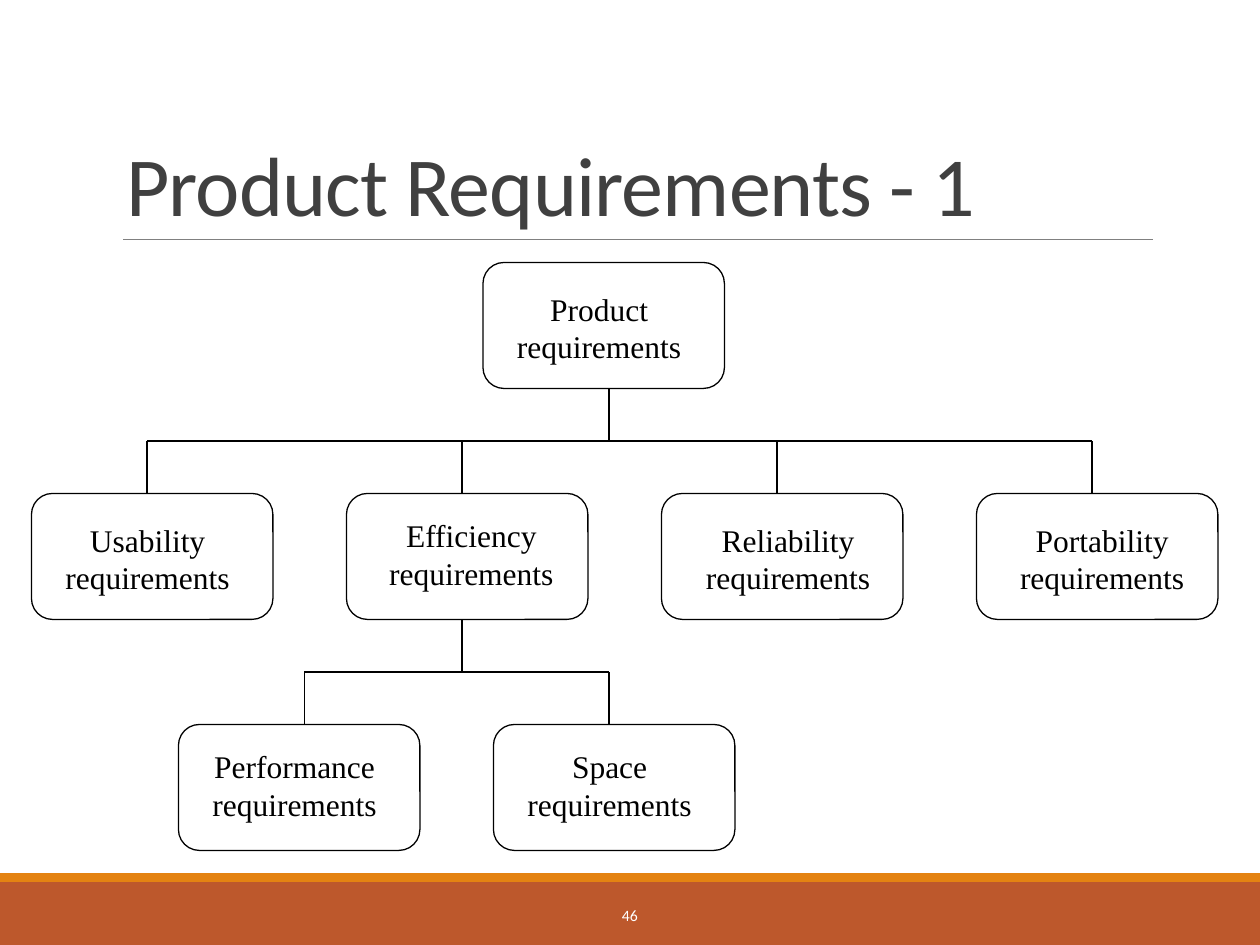
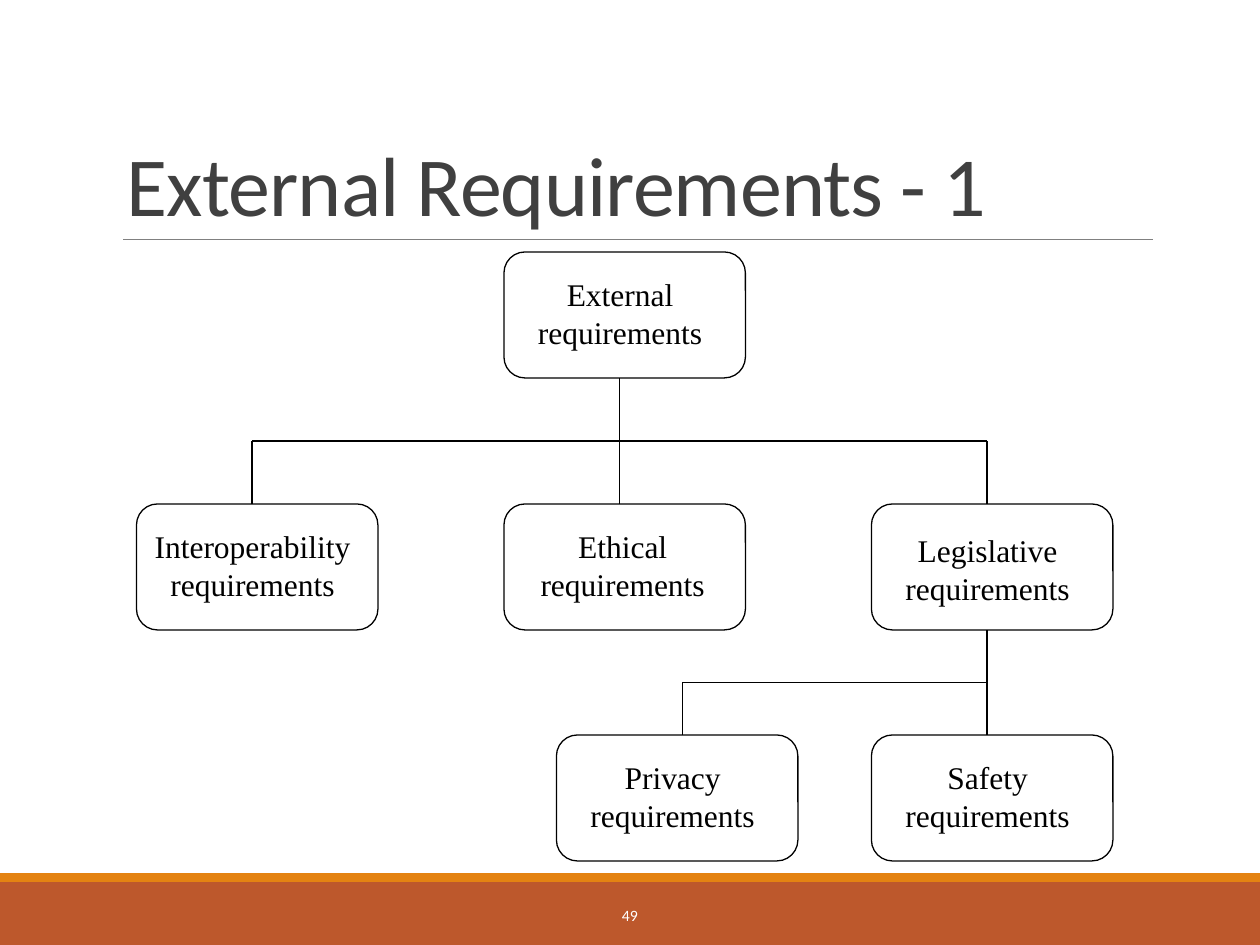
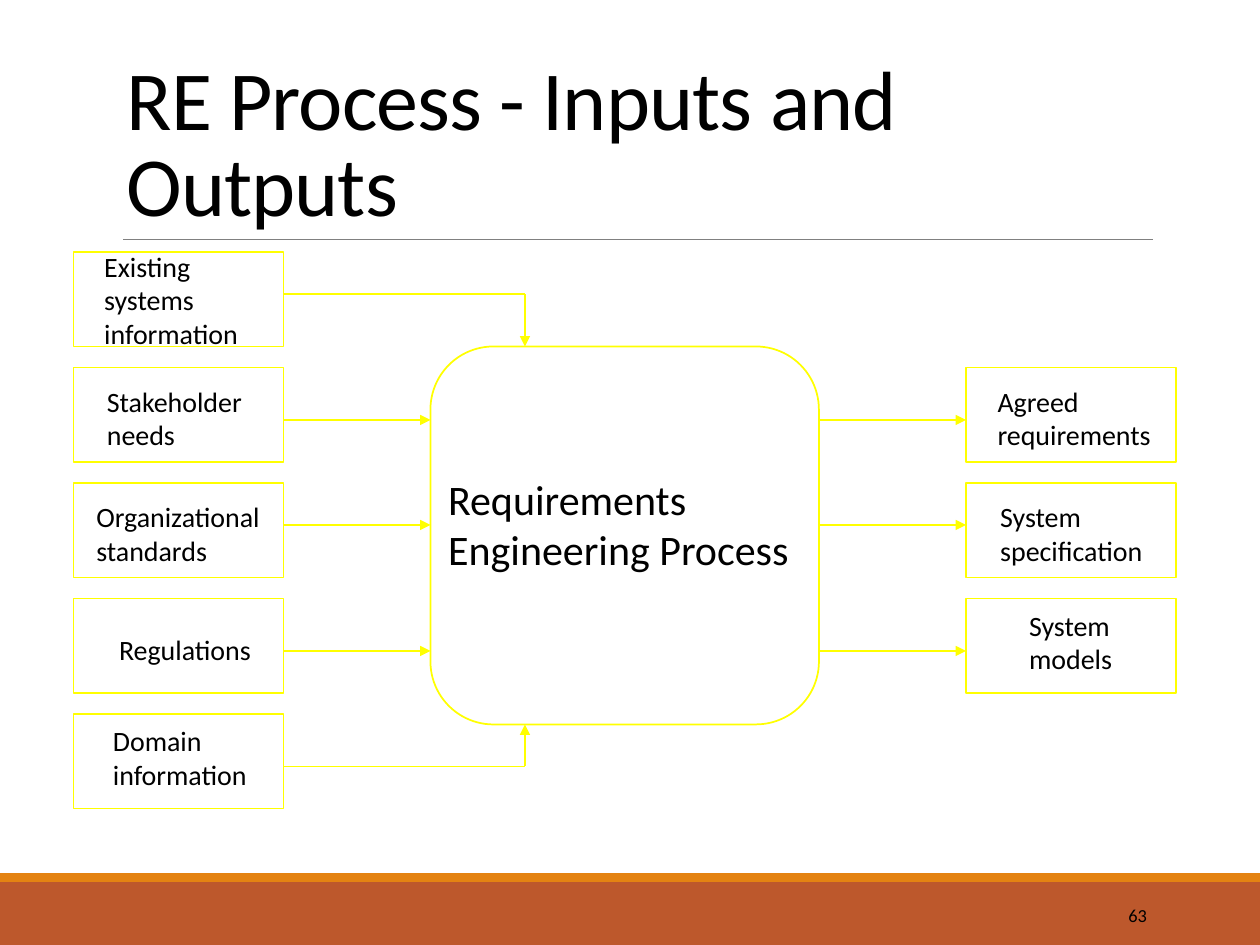
from dataclasses import dataclass

from lxml import etree
from pptx import Presentation
from pptx.dml.color import RGBColor
from pptx.enum.shapes import MSO_CONNECTOR, MSO_SHAPE
from pptx.enum.text import MSO_ANCHOR, MSO_AUTO_SIZE, PP_ALIGN
from pptx.oxml.ns import qn
from pptx.util import Pt


@dataclass(frozen=True)
class Theme:
    ink: str = "000000"
    title: str = "404040"
    white: str = "FFFFFF"
    rule: str = "808080"
    band: str = "BD582C"
    stripe: str = "E48312"
    flow: str = "FFFF00"
    sans: str = "Calibri"
    serif: str = "Times New Roman"
    title_size: float = 48
    process_size: float = 24
    node_size: float = 18
    item_size: float = 16
    number_size: float = 9
    large_number_size: float = 10.5
    rule_width: float = 0.5
    tree_width: float = 0.75
    flow_width: float = 1


@dataclass(frozen=True)
class Box:
    left: float
    top: float
    width: float
    height: float

    def inner(self, dx, dy, width, height):
        return Box(self.left + dx, self.top + dy, width, height)

    def lengths(self):
        return [Pt(v) for v in (self.left, self.top, self.width, self.height)]


@dataclass(frozen=True)
class Node:
    """A tree box; label and stem are offsets from its top left corner."""
    word: str
    label_dx: float = 12
    label_dy: float = 9.5
    stem_dx: float = 66
    label_width: float = 108.7


@dataclass(frozen=True)
class Row:
    left: float
    top: float
    pitch: float
    nodes: tuple


@dataclass(frozen=True)
class Item:
    """An input or output; its label is offset from its box."""
    lines: tuple
    dx: float
    dy: float
    width: float
    align: PP_ALIGN = PP_ALIGN.LEFT


THEME = Theme()
PAGE = Box(0, 0, 720, 540)
TITLE = Box(65, 22.5, 594, 114.5)
CENTRE_NUMBER = Box(217.5, 508.5, 285, 28.75)
RIGHT_NUMBER = Box(584.5, 508.5, 78, 28.75)
NODE_WIDTH, NODE_HEIGHT = 138, 72
ITEM_WIDTH, ITEM_HEIGHT, ITEM_PITCH = 120, 54, 66


# Drawing helpers
def colour(code):
    return RGBColor.from_string(code)


def add_box(slide, box, kind=MSO_SHAPE.RECTANGLE, fill=None, line=None, width=1):
    shape = slide.shapes.add_shape(kind, *box.lengths())
    shape.shadow.inherit = False
    if fill:
        shape.fill.solid()
        shape.fill.fore_color.rgb = colour(fill)
    else:
        shape.fill.background()
    if line:
        shape.line.color.rgb = colour(line)
        shape.line.width = Pt(width)
    else:
        shape.line.fill.background()
    return shape


def add_line(slide, start, end, line, width, arrow=False):
    connector = slide.shapes.add_connector(
        MSO_CONNECTOR.STRAIGHT, *[Pt(v) for v in (*start, *end)])
    connector.line.color.rgb = colour(line)
    connector.line.width = Pt(width)
    properties = connector.element.spPr
    if arrow:
        outline = properties.find(qn("a:ln"))
        etree.SubElement(outline, qn("a:tailEnd"), type="triangle")
    etree.SubElement(properties, qn("a:effectLst"))
    return connector


def add_run(paragraph, text, font, size, ink):
    run = paragraph.add_run()
    run.text = text
    run.font.name = font
    run.font.size = Pt(size)
    run.font.color.rgb = colour(ink)


def add_label(slide, box, lines, font, size, align=PP_ALIGN.LEFT):
    frame = slide.shapes.add_textbox(*box.lengths()).text_frame
    frame.word_wrap = False
    frame.auto_size = MSO_AUTO_SIZE.SHAPE_TO_FIT_TEXT
    for index, text in enumerate(lines):
        paragraph = frame.add_paragraph() if index else frame.paragraphs[0]
        paragraph.alignment = align
        add_run(paragraph, text, font, size, THEME.ink)


# Shared parts
def furnish_layout(layout, slide):
    """Move the bands and the title rule behind everything on the layout."""
    parts = [
        add_box(slide, PAGE.inner(0, 504, PAGE.width, 36), fill=THEME.band),
        add_box(slide, PAGE.inner(0, 499, PAGE.width, 5), fill=THEME.stripe),
        add_line(slide, (70.5, 137), (659, 137), THEME.rule, THEME.rule_width),
    ]
    for index, part in enumerate(parts):
        next(part.element.iter(qn("p:cNvPr"))).set("id", str(100 + index))
        layout.shapes.element.insert(2 + index, part.element)


def add_title(slide, text, ink=THEME.title):
    title = slide.shapes.title
    title.left, title.top, title.width, title.height = TITLE.lengths()
    frame = title.text_frame
    frame.word_wrap = True
    frame.auto_size = MSO_AUTO_SIZE.NONE
    frame.vertical_anchor = MSO_ANCHOR.BOTTOM
    paragraph = frame.paragraphs[0]
    paragraph.alignment = PP_ALIGN.LEFT
    paragraph.line_spacing = 0.85
    add_run(paragraph, text, THEME.sans, THEME.title_size, ink)
    next(title.element.iter(qn("a:rPr"))).set("spc", "-50")


def add_number(slide, box, number, size, ink, align):
    frame = slide.shapes.add_textbox(*box.lengths()).text_frame
    frame.word_wrap = True
    frame.vertical_anchor = MSO_ANCHOR.MIDDLE
    frame.paragraphs[0].alignment = align
    add_run(frame.paragraphs[0], number, THEME.sans, size, ink)


# Requirement trees
def add_node(slide, box, node):
    add_box(slide, box, MSO_SHAPE.ROUNDED_RECTANGLE,
            line=THEME.ink, width=THEME.tree_width)
    label = box.inner(node.label_dx, node.label_dy, node.label_width, 50.4)
    add_label(slide, label, (node.word, "requirements"),
              THEME.serif, THEME.node_size, PP_ALIGN.CENTER)
    return box, box.left + node.stem_dx


def add_row(slide, box, row):
    return [add_node(slide, box.inner(row.left + i * row.pitch, row.top,
                                      NODE_WIDTH, NODE_HEIGHT), node)
            for i, node in enumerate(row.nodes)]


def add_branch(slide, parent, children):
    parent_box, trunk = parent
    parent_bottom = parent_box.top + parent_box.height
    child_top = children[0][0].top
    bus = (parent_bottom + child_top) / 2
    stems = [stem for _, stem in children]
    segments = [((trunk, parent_bottom), (trunk, bus)),
                ((stems[0], bus), (stems[-1], bus))]
    segments += [((stem, bus), (stem, child_top)) for stem in stems]
    for start, end in segments:
        add_line(slide, start, end, THEME.ink, THEME.tree_width)


def add_tree(slide, box, rows, split):
    """Draw three rows; the node at index split carries the lowest row."""
    roots, kinds, details = [add_row(slide, box, row) for row in rows]
    add_branch(slide, roots[0], kinds)
    add_branch(slide, kinds[split], details)


def tree_slide(slide, title, number, box, rows, split):
    add_title(slide, title)
    add_number(slide, CENTRE_NUMBER, number, THEME.number_size,
               THEME.white, PP_ALIGN.CENTER)
    add_tree(slide, box, rows, split)


# Process with its inputs and outputs
def add_items(slide, box, items):
    for index, item in enumerate(items):
        cell = box.inner(0, index * ITEM_PITCH, ITEM_WIDTH, ITEM_HEIGHT)
        add_box(slide, cell, line=THEME.flow, width=THEME.flow_width)
        label = cell.inner(item.dx, item.dy, item.width,
                           7.2 + 19.5 * len(item.lines))
        add_label(slide, label, item.lines, THEME.sans, THEME.item_size,
                  item.align)


def add_process(slide, box, inputs, outputs):
    process = box.inner(204, 54, 222, 216)
    output_column = box.inner(510, ITEM_PITCH, ITEM_WIDTH, 186)
    add_box(slide, process, MSO_SHAPE.ROUNDED_RECTANGLE,
            line=THEME.flow, width=THEME.flow_width)
    add_items(slide, box, inputs)
    add_items(slide, output_column, outputs)
    add_label(slide, process.inner(3, 69, 211, 65.5),
              ("Requirements", "Engineering Process"),
              THEME.sans, THEME.process_size)

    def flow(start, end, arrow=True):
        add_line(slide, start, end, THEME.flow, THEME.flow_width, arrow)

    # Straight arrows into and out of the process
    input_right = box.left + ITEM_WIDTH
    process_right = process.left + process.width
    for dy in (96, 156, 228):
        y = box.top + dy
        flow((input_right, y), (process.left, y))
        flow((process_right, y), (output_column.left, y))

    # Bent arrows from the first and last input
    bend = process.left + 54
    for dy, edge in ((24, process.top), (294, process.top + process.height)):
        y = box.top + dy
        flow((input_right, y), (bend, y), arrow=False)
        flow((bend, y), (bend, edge))


def process_slide(slide, title, number, box, inputs, outputs):
    add_title(slide, title, THEME.ink)
    add_number(slide, RIGHT_NUMBER, number, THEME.large_number_size,
               THEME.ink, PP_ALIGN.RIGHT)
    add_process(slide, box, inputs, outputs)


# Content
PRODUCT_ROWS = (
    Row(258, 0, 0, (Node("Product", label_dy=12, stem_dx=72),)),
    Row(0, 132, 180, (Node("Usability", label_dy=12),
                      Node("Efficiency", 17),
                      Node("Reliability", 18, 12),
                      Node("Portability", 17.5, 12))),
    Row(84, 264, 180, (Node("Performance", stem_dx=72), Node("Space"))),
)
EXTERNAL_ROWS = (
    Row(210, 0, 0, (Node("External"),)),
    Row(0, 144, 210, (Node("Interoperability", 3, label_width=126.7),
                      Node("Ethical", 13.5),
                      Node("Legislative", label_dy=12))),
    Row(240, 276, 180, (Node("Privacy", stem_dx=72), Node("Safety"))),
)
INPUTS = (
    Item(("Existing", "systems", "information"), 10.5, -5, 92),
    Item(("Stakeholder", "needs"), 12, 6, 93),
    Item(("Organizational", "standards"), 6, 6, 110),
    Item(("Regulations",), 17, 16, 91.5, PP_ALIGN.RIGHT),
    Item(("Domain", "information"), 15.5, 2, 92),
)
OUTPUTS = (
    Item(("Agreed", "requirements"), 11, 6, 103),
    Item(("System", "specification"), 12.5, 6, 96.5),
    Item(("System", "models"), 29, 2, 62.5),
)


def main():
    deck = Presentation()
    deck.slide_width, deck.slide_height = Pt(PAGE.width), Pt(PAGE.height)
    layout = deck.slide_layouts.get_by_name("Title Only")
    product, external, process = [deck.slides.add_slide(layout) for _ in range(3)]
    furnish_layout(layout, product)
    tree_slide(product, "Product Requirements - 1", "46",
               Box(18, 150, 678, 336), PRODUCT_ROWS, split=1)
    tree_slide(external, "External Requirements - 1", "49",
               Box(78, 144, 558, 348), EXTERNAL_ROWS, split=2)
    process_slide(process, "RE Process - Inputs and Outputs", "63",
                  Box(42, 144, 630, 318), INPUTS, OUTPUTS)
    deck.save("out.pptx")


if __name__ == "__main__":
    main()
